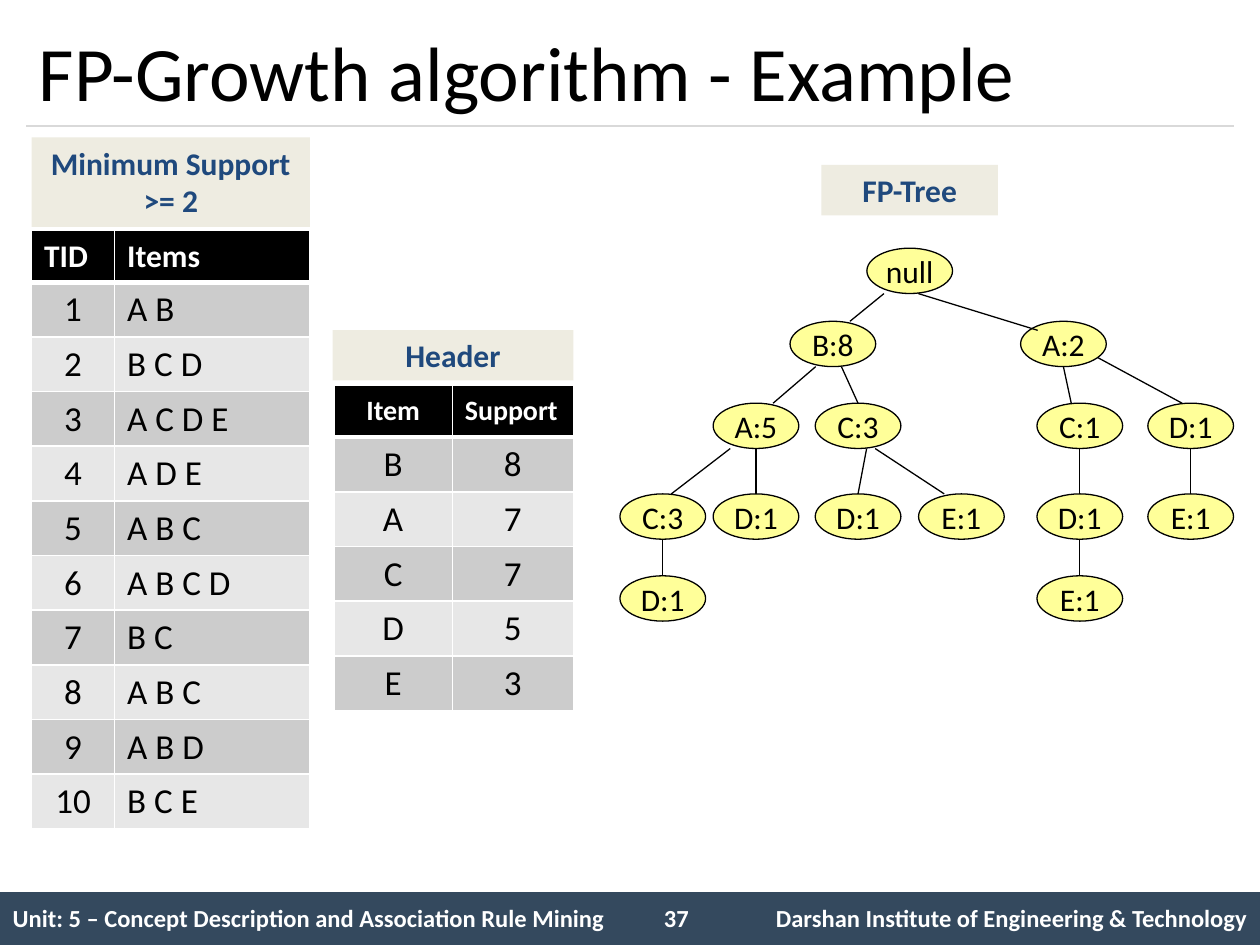
from dataclasses import dataclass
from typing import Optional, Sequence

from lxml.etree import SubElement
from pptx import Presentation
from pptx.dml.color import RGBColor
from pptx.enum.shapes import MSO_CONNECTOR as Connector, MSO_SHAPE as Shape
from pptx.enum.text import MSO_ANCHOR as Anchor, PP_ALIGN as Align
from pptx.oxml.ns import qn
from pptx.util import Inches, Pt

COLORS = {
    "text": "000000", "light": "FFFFFF", "footer": "34495E", "rule": "D9D9D9",
    "head": "000000", "odd": "CCCCCC", "even": "E7E7E7",
    "label": "EEECE1", "label_text": "1F497D", "node": "FFFF99",
}
FONT = "Calibri"

# Grid: 100 columns by 75 rows over the whole slide
prs = Presentation()
prs.slide_width, prs.slide_height = Inches(10), Inches(7.5)
COLUMN, ROW = prs.slide_width / 100, prs.slide_height / 75
slide = prs.slides.add_slide(prs.slide_layouts[6])
shapes = slide.shapes


def cols(count: float) -> int:
    return round(count * COLUMN)


def rows(count: float) -> int:
    return round(count * ROW)


def rgb(name: str) -> RGBColor:
    return RGBColor.from_string(COLORS[name])


@dataclass
class Style:
    size: float
    color: str = "text"
    bold: bool = False
    align: Align = Align.LEFT


@dataclass
class Box:
    left: float
    top: float
    width: float
    height: float

    def emu(self) -> tuple:
        return cols(self.left), rows(self.top), cols(self.width), rows(self.height)


@dataclass
class Node:
    text: str
    left: float
    level: int
    parent: Optional["Node"] = None
    # Edge ends as shares of the parent's and the child's own size
    leave: tuple = (0.5, 1)
    enter: tuple = (0.5, 0)

    def point(self, share: tuple) -> tuple:
        return (self.left + share[0] * NODE_WIDTH,
                LEVEL_TOPS[self.level] + share[1] * NODE_HEIGHT)


def write(frame, text: str, style: Style) -> None:
    paragraph = frame.paragraphs[0]
    paragraph.alignment = style.align
    run = paragraph.add_run()
    run.text = text
    run.font.name, run.font.size = FONT, Pt(style.size)
    run.font.bold = style.bold
    run.font.color.rgb = rgb(style.color)


def add_text(box: Box, text: str, style: Style, anchor: Anchor = Anchor.TOP) -> None:
    frame = shapes.add_textbox(*box.emu()).text_frame
    frame.word_wrap, frame.vertical_anchor = True, anchor
    write(frame, text, style)


def add_filled(kind: Shape, box: Box, fill: str):
    shape = shapes.add_shape(kind, *box.emu())
    shape.shadow.inherit = False
    shape.fill.solid()
    shape.fill.fore_color.rgb = rgb(fill)
    shape.line.fill.background()
    return shape


def add_line(start: tuple, end: tuple, color: str) -> None:
    line = shapes.add_connector(Connector.STRAIGHT, cols(start[0]), rows(start[1]),
                                cols(end[0]), rows(end[1]))
    line.line.color.rgb, line.line.width = rgb(color), Pt(0.75)
    SubElement(line._element.spPr, qn("a:effectLst"))


def add_label(box: Box, text: str) -> None:
    frame = add_filled(Shape.RECTANGLE, box, "label").text_frame
    frame.word_wrap, frame.vertical_anchor = True, Anchor.TOP
    write(frame, text, Style(18, "label_text", True, Align.CENTER))


def set_borders(cell, top: float, bottom: float) -> None:
    properties = cell._tc.get_or_add_tcPr()
    for side, width in (("L", 1), ("R", 1), ("T", top), ("B", bottom)):
        line = SubElement(properties, qn(f"a:ln{side}"), w=str(Pt(width)))
        if width and top:
            fill = SubElement(line, qn("a:solidFill"))
            SubElement(fill, qn("a:srgbClr"), val=COLORS["light"])
        else:
            SubElement(line, qn("a:noFill"))


def new_table(left: float, top: float, widths: Sequence[float], count: int, height: float):
    box = Box(left, top, sum(widths), height * count)
    table = shapes.add_table(count, len(widths), *box.emu()).table
    table.first_row = table.horz_banding = False
    for column, width in zip(table.columns, widths):
        column.width = cols(width)
    return table


def add_data_table(left: float, top: float, widths: Sequence[float], records: Sequence,
                   head_size: float, head_aligns: Sequence, body_aligns: Sequence) -> None:
    table = new_table(left, top, widths, len(records), 4.1)
    for r, record in enumerate(records):
        head = r == 0
        fill = "head" if head else "odd" if r % 2 else "even"
        for c, text in enumerate(record):
            cell = table.cell(r, c)
            set_borders(cell, 3 if r == 1 else 1, 3 if head else 1)
            cell.fill.solid()
            cell.fill.fore_color.rgb = rgb(fill)
            if head:
                cell.vertical_anchor = Anchor.MIDDLE
                style = Style(head_size, "light", True, head_aligns[c])
            else:
                style = Style(20, align=body_aligns[c])
            write(cell.text_frame, text, style)


# Footer band, its table and the slide number
add_filled(Shape.RECTANGLE, Box(0, 70.8, 100, 4.2), "footer")
footer = new_table(0, 70.8, (50.8, 6.7, 42.5), 1, 4.3)
footer_cells = (
    ("Unit: 5 – Concept Description and Association Rule Mining", Align.LEFT),
    ("", Align.CENTER),
    ("Darshan Institute of Engineering & Technology", Align.RIGHT),
)
for c, (text, align) in enumerate(footer_cells):
    cell = footer.cell(0, c)
    set_borders(cell, 0, 0)
    cell.fill.background()
    cell.vertical_anchor = Anchor.MIDDLE
    if text:
        write(cell.text_frame, text, Style(14, "light", True, align))
add_text(Box(51.7, 71.2, 5.8, 3.4), "37", Style(14, "light", True))

# Title and rule
add_line((2.1, 10), (97.9, 10), "rule")
add_text(Box(2.1, 1.2, 95.8, 8.8), "FP-Growth algorithm - Example", Style(44), Anchor.MIDDLE)

# Transactions
baskets = ("A B", "B C D", "A C D E", "A D E", "A B C",
           "A B C D", "B C", "A B C", "A B D", "B C E")
transactions = [("TID", "Items")] + [(str(i), b) for i, b in enumerate(baskets, 1)]
add_label(Box(2.5, 10.9, 22.1, 7.1), "Minimum Support >= 2")
add_data_table(2.5, 18.3, (6.6, 15.5), transactions, 18,
               (Align.LEFT, Align.LEFT), (Align.CENTER, Align.LEFT))

# Header table
supports = [("Item", "Support"), *zip("BACDE", "87753")]
add_label(Box(26.4, 26.2, 19.1, 4), "Header")
add_data_table(26.5, 30.6, (9.4, 9.6), supports, 16,
               (Align.CENTER, Align.LEFT), (Align.CENTER, Align.CENTER))

# FP-tree
NODE_WIDTH, NODE_HEIGHT = 6.8, 3.6
LEVEL_TOPS = (19.7, 25.5, 32, 39.2, 45.7)
root = Node("null", 68.8, 0)
b8 = Node("B:8", 62.7, 1, root, (0.2, 1), (0.7, 0))
a2 = Node("A:2", 81, 1, root, (0.6, 1), (0.2, 0.2))
a5 = Node("A:5", 56.6, 2, b8, (0.3, 1), (0.7, 0))
bc3 = Node("C:3", 64.7, 2, b8, (0.6, 1))
c1 = Node("C:1", 82.3, 2, a2, (0.5, 1), (0.4, 0))
d1 = Node("D:1", 91.1, 2, a2, (0.9, 0.8), (0.4, 0))
ac3 = Node("C:3", 49.2, 3, a5, (0.2, 1), (0.6, 0))
cd1 = Node("D:1", 82.3, 3, c1)
tree = (
    root, b8, a2, a5, bc3, c1, d1, ac3, cd1,
    Node("D:1", 56.6, 3, a5),
    Node("D:1", 64.7, 3, bc3, (0.6, 1)),
    Node("E:1", 72.9, 3, bc3, (0.7, 1), (0.3, 0)),
    Node("E:1", 91.1, 3, d1),
    Node("D:1", 49.2, 4, ac3),
    Node("E:1", 82.3, 4, cd1),
)
add_label(Box(65.2, 13.1, 14, 4), "FP-Tree")
for node in tree:
    oval = add_filled(Shape.OVAL, Box(*node.point((0, 0)), NODE_WIDTH, NODE_HEIGHT), "node")
    oval.line.color.rgb, oval.line.width = rgb("text"), Pt(0.75)
    oval.text_frame.word_wrap = False
    oval.text_frame.vertical_anchor = Anchor.MIDDLE
    write(oval.text_frame, node.text, Style(18, align=Align.CENTER))
for node in tree:
    if node.parent:
        add_line(node.parent.point(node.leave), node.point(node.enter), "text")

prs.save("out.pptx")
